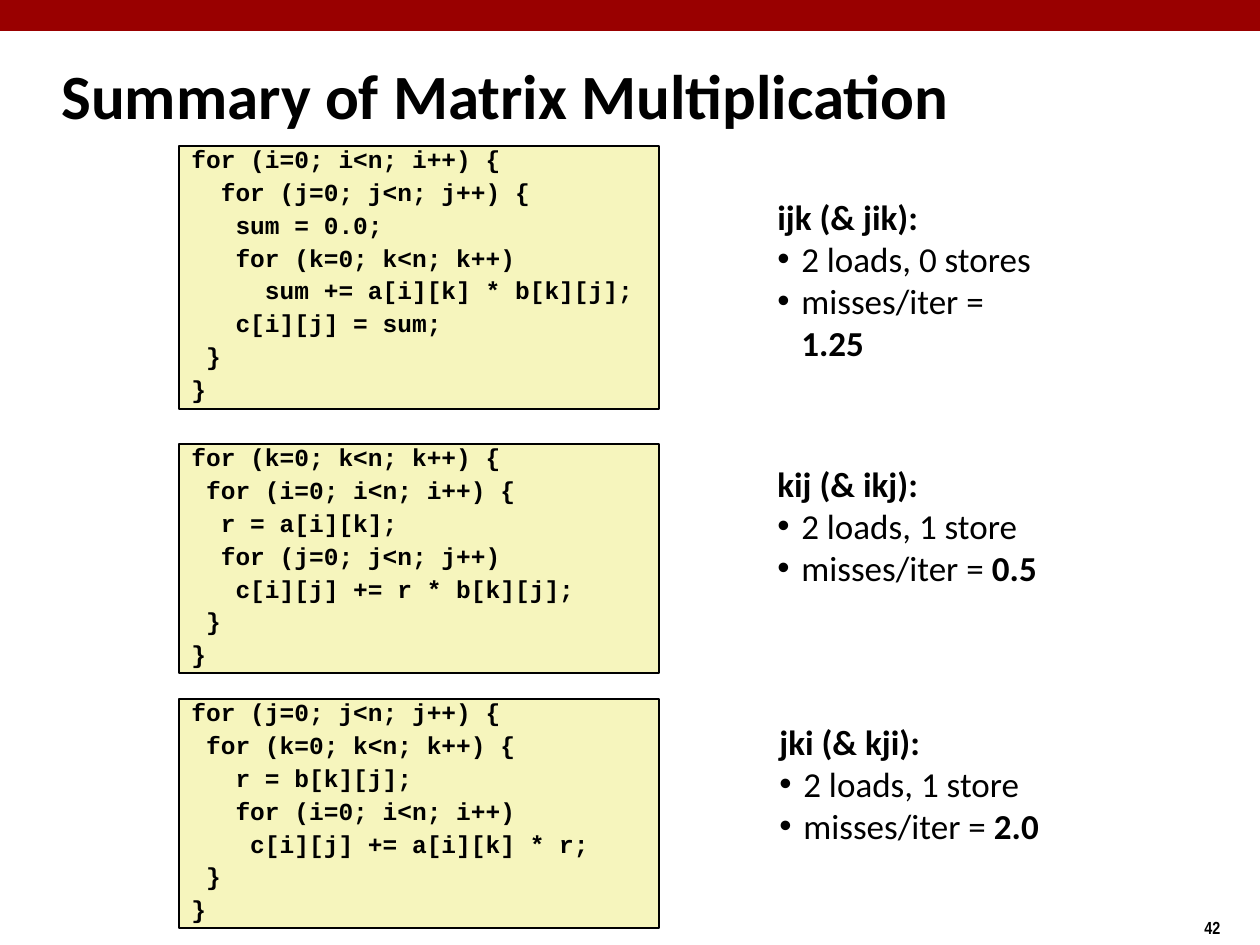
from lxml.etree import SubElement
from pptx import Presentation
from pptx.dml.color import RGBColor
from pptx.enum.shapes import MSO_SHAPE as Shape
from pptx.enum.text import MSO_ANCHOR as Anchor, PP_ALIGN as Align
from pptx.oxml.ns import qn
from pptx.util import Pt

PX = 7257.6
BLACK = RGBColor(0x00, 0x00, 0x00)
RED = RGBColor(0x99, 0x00, 0x00)
CREAM = RGBColor(0xF6, 0xF5, 0xBD)

TITLE = "Summary of Matrix Multiplication"
PAGE_NUMBER = "42"
LOOPS = [
    {
        "code": """for (i=0; i<n; i++) {
  for (j=0; j<n; j++) {
   sum = 0.0;
   for (k=0; k<n; k++)
     sum += a[i][k] * b[k][j];
   c[i][j] = sum;
 }
}""",
        "code_box": (179, 146, 480, 263),
        "order": "ijk (& jik):",
        "memory": "2 loads, 0 stores",
        "misses": "1.25",
        "note_box": (765, 189, 302, 139),
    },
    {
        "code": """for (k=0; k<n; k++) {
 for (i=0; i<n; i++) {
  r = a[i][k];
  for (j=0; j<n; j++)
   c[i][j] += r * b[k][j];
 }
}""",
        "code_box": (179, 444, 480, 229),
        "order": "kij (& ikj):",
        "memory": "2 loads, 1 store",
        "misses": "0.5",
        "note_box": (765, 456, 285, 139),
    },
    {
        "code": """for (j=0; j<n; j++) {
 for (k=0; k<n; k++) {
   r = b[k][j];
   for (i=0; i<n; i++)
    c[i][j] += a[i][k] * r;
 }
}""",
        "code_box": (179, 699, 480, 229),
        "order": "jki (& kji):",
        "memory": "2 loads, 1 store",
        "misses": "2.0",
        "note_box": (767, 714, 285, 139),
    },
]


def px(length):
    return round(length * PX)


def style(font, name, size, bold=True):
    font.name = name
    font.size = Pt(size)
    font.bold = bold
    font.color.rgb = BLACK


def add_rectangle(slide, box, fill):
    shape = slide.shapes.add_shape(Shape.RECTANGLE, *map(px, box))
    shape.shadow.inherit = False
    shape.fill.solid()
    shape.fill.fore_color.rgb = fill
    shape.line.fill.background()
    return shape


def add_text(slide, box, text, name, size):
    text_frame = slide.shapes.add_textbox(*map(px, box)).text_frame
    text_frame.word_wrap = True
    text_frame.text = text
    style(text_frame.paragraphs[0].runs[0].font, name, size)
    return text_frame


def add_code(slide, box, code):
    shape = add_rectangle(slide, box, CREAM)
    shape.line.color.rgb = BLACK
    shape.line.width = Pt(1)
    text_frame = shape.text_frame
    text_frame.vertical_anchor = Anchor.TOP
    text_frame.text = code
    for index, paragraph in enumerate(text_frame.paragraphs):
        paragraph.alignment = Align.LEFT
        paragraph.line_spacing = 0.7
        paragraph.space_before = Pt(7 if index else 0)
        style(paragraph.runs[0].font, "Courier New", 14)


def add_bullet(text_frame, *runs):
    paragraph = text_frame.add_paragraph()
    properties = paragraph._p.get_or_add_pPr()
    properties.set("marL", str(px(24)))
    properties.set("indent", str(px(-24)))
    SubElement(properties, qn("a:buFont"), typeface="Arial")
    SubElement(properties, qn("a:buChar"), char="•")
    for text, bold in runs:
        run = paragraph.add_run()
        run.text = text
        style(run.font, "Calibri", 20, bold)


def main():
    presentation = Presentation()
    presentation.slide_width = px(1260)
    presentation.slide_height = px(945)
    slide = presentation.slides.add_slide(presentation.slide_layouts[6])

    add_rectangle(slide, (0, 0, 1260, 31), RED)
    add_text(slide, (1192, 911, 95, 34), PAGE_NUMBER, "Arial Narrow", 10)
    title = add_text(slide, (49, 42, 1046, 105), TITLE, "Calibri", 36)
    title.vertical_anchor = Anchor.MIDDLE

    for loop in LOOPS:
        add_code(slide, loop["code_box"], loop["code"])
        note = add_text(slide, loop["note_box"], loop["order"], "Calibri", 20)
        add_bullet(note, (loop["memory"], False))
        add_bullet(note, ("misses/iter = ", False), (loop["misses"], True))

    presentation.save("out.pptx")


if __name__ == "__main__":
    main()
